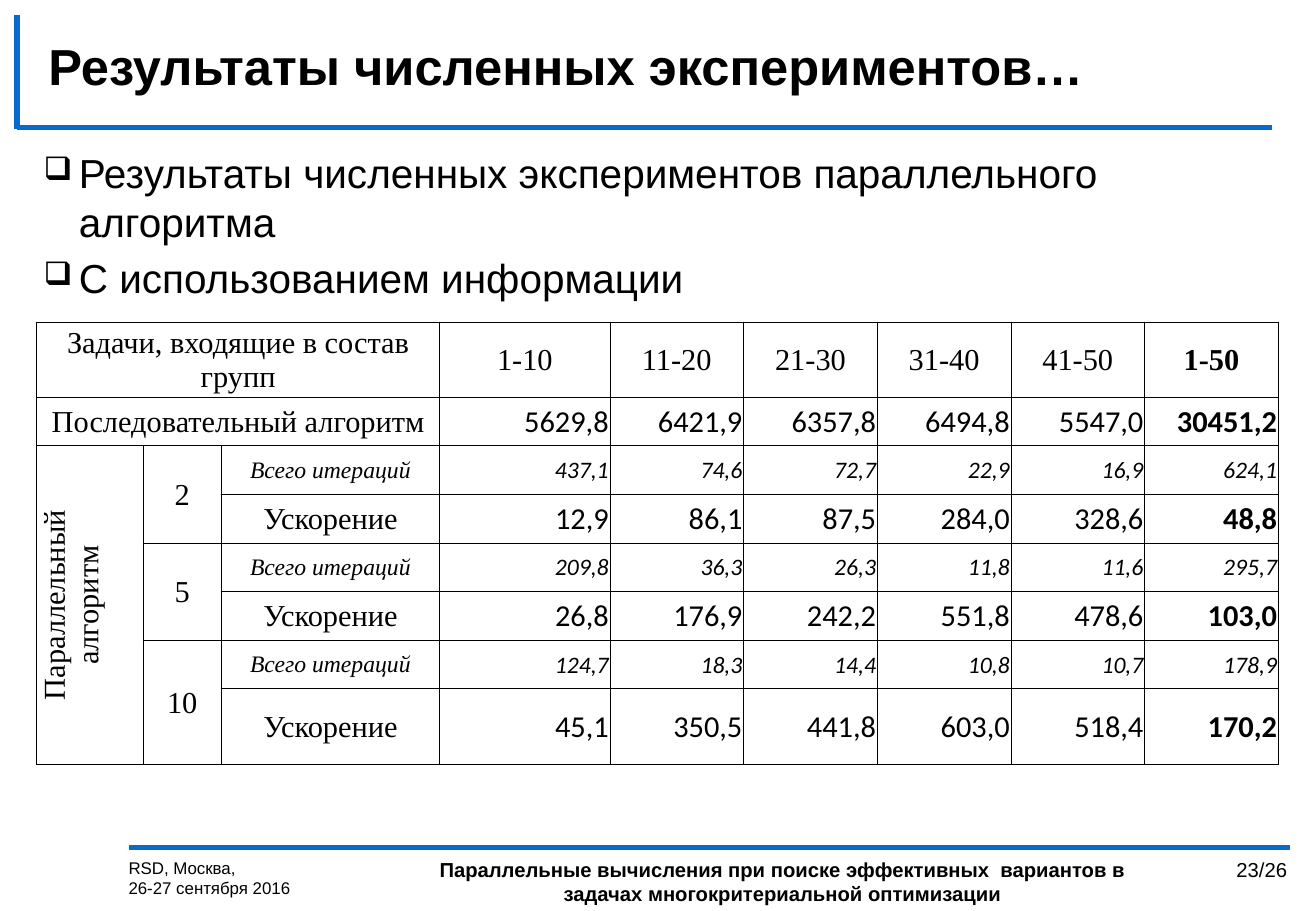
from lxml.etree import SubElement
from pptx import Presentation
from pptx.dml.color import RGBColor
from pptx.enum.shapes import MSO_CONNECTOR
from pptx.enum.text import MSO_ANCHOR, PP_ALIGN
from pptx.oxml.ns import qn
from pptx.util import Inches, Pt

COLORS = {"rule": "0969CD", "text": "000000", "border": "000000"}

deck = Presentation()
deck.slide_width, deck.slide_height = Inches(10.83), Inches(7.5)
page = deck.slides.add_slide(deck.slide_layouts[6])


def format_text(frame, size, font="Arial", bold=False, italic=False, align=PP_ALIGN.LEFT):
    frame.word_wrap = True
    for para in frame.paragraphs:
        para.alignment = align
        for span in para.runs:
            span.font.size = Pt(size)
            span.font.name = font
            span.font.bold = bold
            span.font.italic = italic
            span.font.color.rgb = RGBColor.from_string(COLORS["text"])


def add_text(text, left, top, width, height, size, **style):
    frame = page.shapes.add_textbox(
        Inches(left), Inches(top), Inches(width), Inches(height)).text_frame
    frame.text = text
    format_text(frame, size, **style)
    return frame


# Rules of the header and footer
for x1, y1, x2, y2 in [(1.06, 6.98, 10.62, 6.98),
                       (0.14, 1.05, 10.47, 1.05),
                       (0.14, 0.12, 0.14, 1.06)]:
    rule = page.shapes.add_connector(
        MSO_CONNECTOR.STRAIGHT, Inches(x1), Inches(y1), Inches(x2), Inches(y2))
    rule.line.color.rgb = RGBColor.from_string(COLORS["rule"])
    rule.line.width = Pt(3)
    SubElement(rule._element.spPr, qn("a:effectLst"))

# Title and bullets
title = add_text("Результаты численных экспериментов…", 0.3, 0.23, 10.35, 0.61, 30, bold=True)
title.vertical_anchor = MSO_ANCHOR.MIDDLE

bullets = add_text("Результаты численных экспериментов параллельного алгоритма\n"
                   "С использованием информации", 0.26, 1.17, 10.39, 1.45, 24)
for para in bullets.paragraphs:
    para.space_before = Pt(4.8)
    properties = para._p.get_or_add_pPr()
    properties.set("marL", str(Inches(0.29)))
    properties.set("indent", str(Inches(-0.29)))
    SubElement(properties, qn("a:buSzPct"), val="80000")
    SubElement(properties, qn("a:buChar"), char="❑")

# Results table
ITERATIONS, SPEEDUP = "Всего итераций", "Ускорение"
rows = [
    ["Задачи, входящие в состав групп", "", "",
     "1-10", "11-20", "21-30", "31-40", "41-50", "1-50"],
    ["Последовательный алгоритм", "", "",
     "5629,8", "6421,9", "6357,8", "6494,8", "5547,0", "30451,2"],
    ["Параллельный алгоритм", "2", ITERATIONS,
     "437,1", "74,6", "72,7", "22,9", "16,9", "624,1"],
    ["", "", SPEEDUP, "12,9", "86,1", "87,5", "284,0", "328,6", "48,8"],
    ["", "5", ITERATIONS, "209,8", "36,3", "26,3", "11,8", "11,6", "295,7"],
    ["", "", SPEEDUP, "26,8", "176,9", "242,2", "551,8", "478,6", "103,0"],
    ["", "10", ITERATIONS, "124,7", "18,3", "14,4", "10,8", "10,7", "178,9"],
    ["", "", SPEEDUP, "45,1", "350,5", "441,8", "603,0", "518,4", "170,2"],
]
widths = [0.88, 0.64, 1.8, 1.4] + [1.1] * 5
heights = [0.62] + [0.4] * 7
table = page.shapes.add_table(
    len(rows), len(widths), Inches(0.3), Inches(2.65),
    Inches(sum(widths)), Inches(sum(heights))).table
table.first_row = table.horz_banding = False
for column, width in zip(table.columns, widths):
    column.width = Inches(width)
for row, height in zip(table.rows, heights):
    row.height = Inches(height)

for r, values in enumerate(rows):
    for c, value in enumerate(values):
        cell = table.cell(r, c)
        cell.text = value
        is_number = r > 0 and c > 2
        is_iterations = values[2] == ITERATIONS and c > 1
        format_text(cell.text_frame, 14 if is_iterations else 18,
                    font="Calibri" if is_number else "Times New Roman",
                    bold=c == 8 and not is_iterations, italic=is_iterations,
                    align=PP_ALIGN.RIGHT if is_number else PP_ALIGN.CENTER)
        cell.vertical_anchor = MSO_ANCHOR.MIDDLE
        cell.margin_left = cell.margin_right = cell.margin_top = Inches(0.01)
        cell.margin_bottom = 0
        for side in ("lnL", "lnR", "lnT", "lnB"):
            border = SubElement(cell._tc.get_or_add_tcPr(), qn("a:" + side), w=str(Pt(0.5)))
            fill = SubElement(border, qn("a:solidFill"))
            SubElement(fill, qn("a:srgbClr"), val=COLORS["border"])
        cell.fill.background()

for top, left, bottom, right in [(0, 0, 0, 2), (1, 0, 1, 2), (2, 0, 7, 0),
                                 (2, 1, 3, 1), (4, 1, 5, 1), (6, 1, 7, 1)]:
    table.cell(top, left).merge(table.cell(bottom, right))
table.cell(2, 0)._tc.get_or_add_tcPr().set("vert", "vert270")

# Footer
add_text("RSD, Москва,\n26-27 сентября 2016", 0.96, 7.01, 2.24, 0.49, 10)
add_text("Параллельные вычисления при поиске эффективных  вариантов в "
         "задачах многокритериальной оптимизации",
         3.29, 7.01, 6.3, 0.49, 12, bold=True, align=PP_ALIGN.CENTER)
add_text("23/26", 9.67, 7.01, 1.02, 0.49, 12, align=PP_ALIGN.RIGHT)

deck.save("out.pptx")
